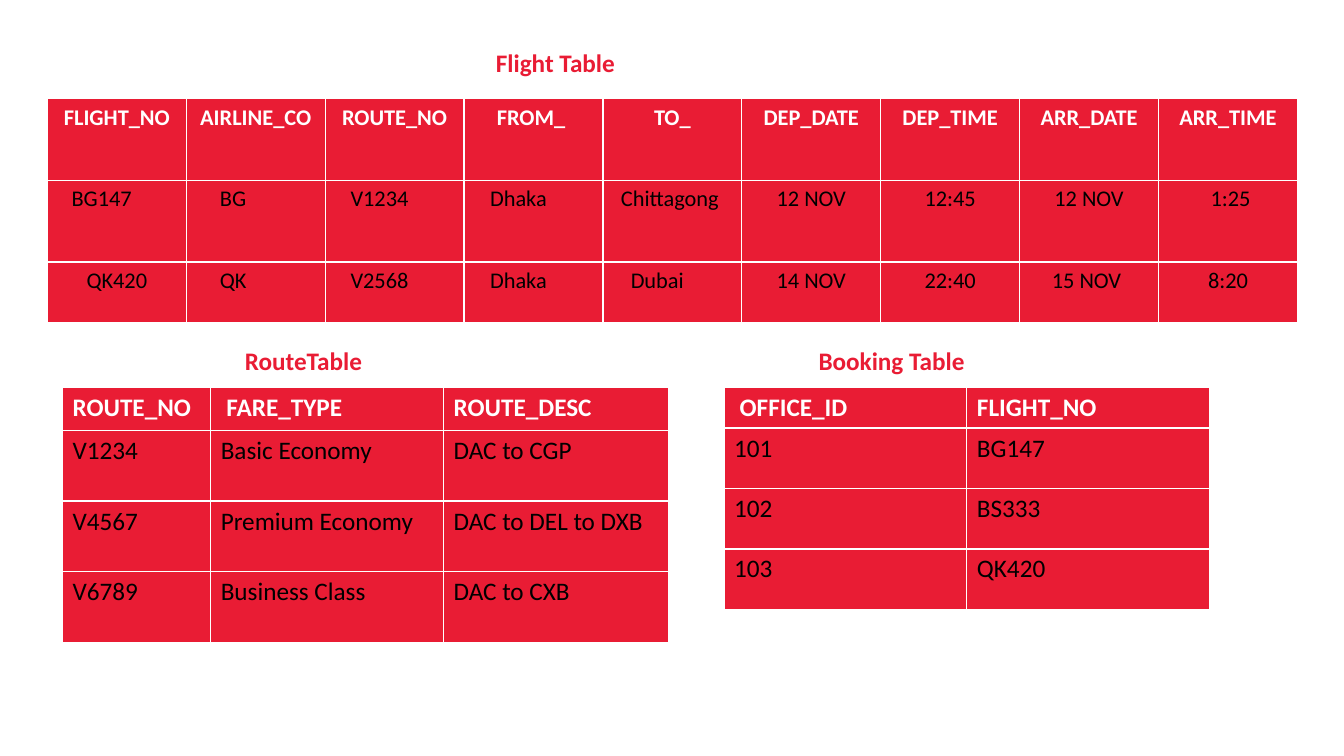
from pptx import Presentation
from pptx.dml.color import RGBColor
from pptx.enum.text import PP_ALIGN
from pptx.util import Inches, Pt

CENTER, LEFT = PP_ALIGN.CENTER, PP_ALIGN.LEFT
RED, WHITE, BLACK = "E91C34", "FFFFFF", "000000"
MARGIN = 0.1

# Content: first row of each table is its header
FLIGHTS = [
    ["FLIGHT_NO", "AIRLINE_CO", "ROUTE_NO", "FROM_ ", "TO_",
     "DEP_DATE", "DEP_TIME", "ARR_DATE", "ARR_TIME"],
    ["BG147", "BG", "V1234", "Dhaka", "Chittagong ",
     "12 NOV", "12:45", "12 NOV", " 1:25"],
    ["QK420", "QK", "V2568", "Dhaka", "Dubai",
     "14 NOV", "22:40", "15 NOV ", "8:20"],
]
ROUTES = [
    ["ROUTE_NO", " FARE_TYPE", "ROUTE_DESC"],
    ["V1234", "Basic Economy", "DAC to CGP"],
    ["V4567", "Premium Economy", "DAC to DEL to DXB"],
    ["V6789", "Business Class", "DAC to CXB"],
]
BOOKINGS = [
    [" OFFICE_ID", "FLIGHT_NO"],
    ["101", "BG147"],
    ["102", "BS333"],
    ["103", "QK420"],
]
# Extra right margin that moves centred text to the left
INDENTS = {"BG147": 0.3, "BG": 0.45, "QK": 0.45, "V1234": 0.3,
           "V2568": 0.3, "Dhaka": 0.3, "Dubai": 0.3}

TABLES = [
    dict(rows=FLIGHTS, left=0.47, top=0.98, widths=[12.4 / 9] * 9,
         heights=[0.81, 0.81, 0.6], size=16, align=CENTER, indents=INDENTS),
    dict(rows=ROUTES, left=0.62, top=3.84, widths=[1.47, 2.31, 2.23],
         heights=[0.43] + [0.7] * 3, size=18, align=LEFT, indents={}),
    dict(rows=BOOKINGS, left=7.18, top=3.84, widths=[2.41] * 2,
         heights=[0.4] + [0.6] * 3, size=18, align=LEFT, indents={}),
]
TITLES = [
    ("Flight Table", 4.82, 0.42, 1.84),
    ("Booking Table", 8.02, 3.38, 3.33),
    ("RouteTable", 2.33, 3.38, 1.84),
]


def rgb(value):
    return RGBColor.from_string(value)


def write(tf, text, size=18, color=BLACK, bold=False, align=LEFT):
    p = tf.paragraphs[0]
    p.alignment = align
    r = p.add_run()
    r.text = text
    r.font.name = "Calibri"
    r.font.size = Pt(size)
    r.font.bold = bold
    r.font.color.rgb = rgb(color)


def add_table(slide, rows, left, top, widths, heights, size, align, indents):
    table = slide.shapes.add_table(
        len(rows), len(widths), Inches(left), Inches(top),
        Inches(sum(widths)), Inches(sum(heights))).table
    table.horz_banding = False
    for column, width in zip(table.columns, widths):
        column.width = Inches(width)
    for i, (row, height) in enumerate(zip(rows, heights)):
        table.rows[i].height = Inches(height)
        header = i == 0
        for j, text in enumerate(row):
            cell = table.cell(i, j)
            cell.fill.solid()
            cell.fill.fore_color.rgb = rgb(RED)
            cell.margin_right = Inches(MARGIN + indents.get(text, 0))
            write(cell.text_frame, text, size=size, bold=header, align=align,
                  color=WHITE if header else BLACK)


prs = Presentation()
prs.slide_width, prs.slide_height = Inches(13.33), Inches(7.5)
slide = prs.slides.add_slide(prs.slide_layouts[6])

# Tables
for spec_row in TABLES:
    add_table(slide, **spec_row)

# Titles
for text, left, top, width in TITLES:
    sp = slide.shapes.add_textbox(Inches(left), Inches(top),
                                  Inches(width), Inches(0.4))
    sp.text_frame.word_wrap = True
    write(sp.text_frame, text, color=RED, bold=True)

prs.save("out.pptx")
